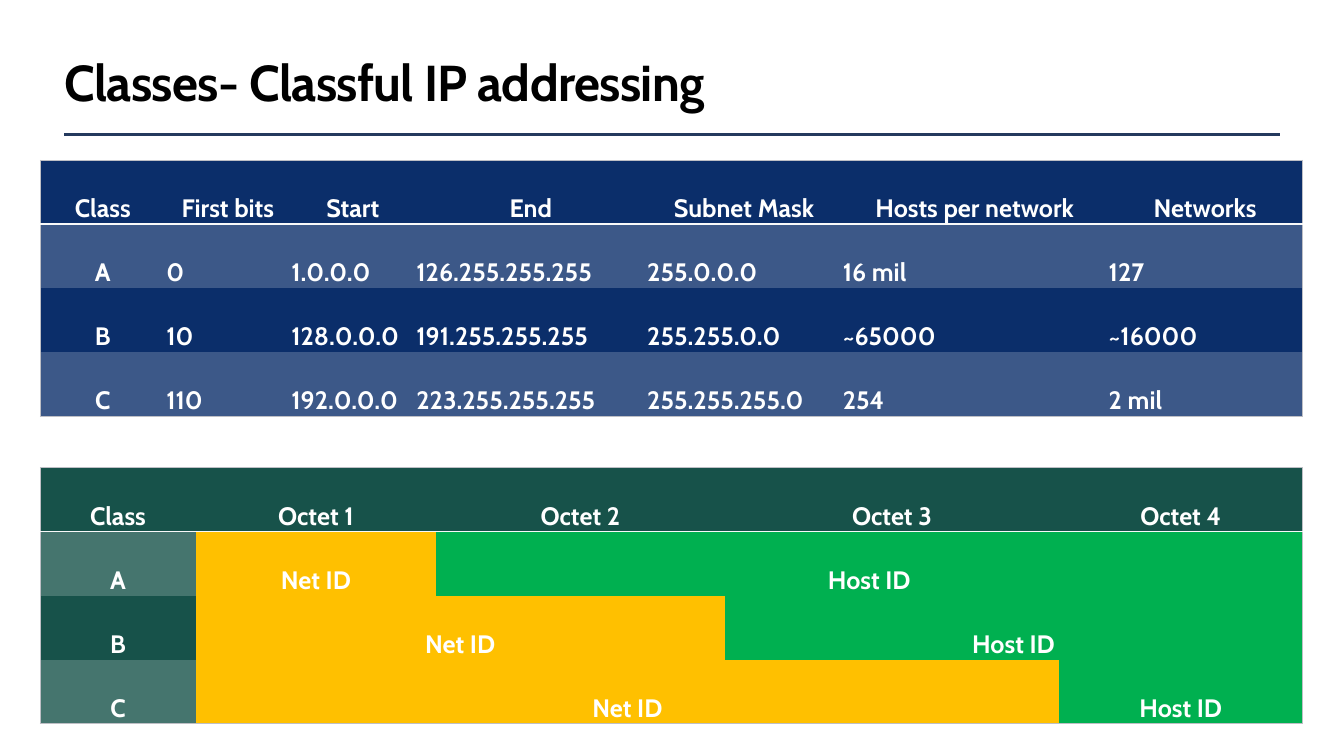
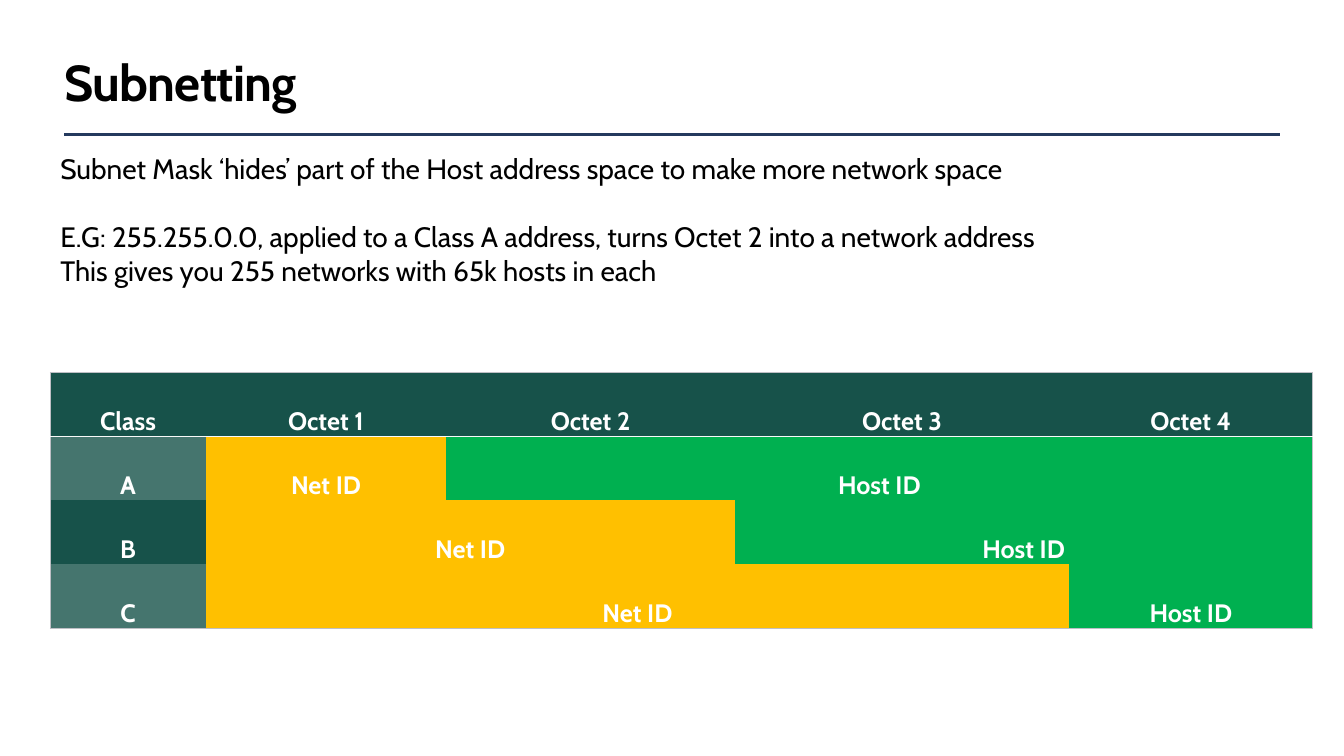
from dataclasses import dataclass

from lxml import etree
from pptx import Presentation
from pptx.dml.color import RGBColor
from pptx.enum.shapes import MSO_CONNECTOR
from pptx.enum.text import MSO_ANCHOR as Anchor, PP_ALIGN as Align
from pptx.oxml.ns import qn
from pptx.util import Pt


@dataclass(frozen=True)
class Theme:
    font: str = "Cabin"
    title_size: int = 36
    body_size: int = 20
    table_size: int = 18
    ink: str = "000000"
    paper: str = "FFFFFF"
    rule: str = "243A5E"
    blue: str = "0B2E6A"
    green: str = "17524A"
    net: str = "FFC000"
    host: str = "00B050"
    frame: str = "BEBFC5"
    header_line: str = "F9F9F9"


THEME = Theme()
LEFT, WIDTH = 46, 868
ROW_HEIGHT = 45.75
PLAIN_TABLE_STYLE = "{2D5ABB26-0587-4C30-8999-92F81FD0307C}"

CLASS_COLUMNS = [89.3, 89.3, 89.3, 164.9, 139.7, 190, 139]
CLASS_ROWS = [
    ["Class", "First bits", "Start", "End", "Subnet Mask", "Hosts per network", "Networks"],
    ["A", "0", "1.0.0.0", "126.255.255.255", "255.0.0.0", "16 mil", "127"],
    ["B", "10", "128.0.0.0", "191.255.255.255", "255.255.0.0", "~65000", "~16000"],
    ["C", "110", "192.0.0.0", "223.255.255.255", "255.255.255.0", "254", "2 mil"],
]
OCTET_COLUMNS = [110.9, 172, 206, 239, 173.6]


@dataclass
class Entry:
    """One table cell: its text, fill, columns covered and alignment."""
    text: str
    fill: str
    span: int = 1
    align: Align = Align.CENTER


def tint(color):
    """Mix one fifth of white into a colour."""
    return "".join(f"{round(part * 0.8 + 255 * 0.2):02X}" for part in bytes.fromhex(color))


def style_text(para, size, color, bold=False):
    font = para.font
    font.name, font.size, font.bold = THEME.font, Pt(size), bold
    font.color.rgb = RGBColor.from_string(color)


# Title and rule
def add_title(slide, text):
    line = slide.shapes.add_connector(
        MSO_CONNECTOR.STRAIGHT, Pt(LEFT), Pt(96), Pt(LEFT + WIDTH), Pt(96))
    line.line.color.rgb = RGBColor.from_string(THEME.rule)
    line.line.width = Pt(2)
    etree.SubElement(line._element.spPr, qn("a:effectLst"))

    frame = slide.shapes.add_textbox(Pt(LEFT), Pt(36), Pt(WIDTH), Pt(44)).text_frame
    frame.word_wrap = True
    frame.vertical_anchor = Anchor.MIDDLE
    frame.margin_left = frame.margin_right = frame.margin_top = frame.margin_bottom = 0
    para = frame.paragraphs[0]
    para.text = text
    style_text(para, THEME.title_size, THEME.ink, bold=True)
    para.runs[0]._r.get_or_add_rPr().set("spc", "-50")


# Body text: pairs of text and space before
def add_body(slide, left, top, width, height, lines):
    frame = slide.shapes.add_textbox(Pt(left), Pt(top), Pt(width), Pt(height)).text_frame
    frame.word_wrap = True
    for index, (text, gap) in enumerate(lines):
        para = frame.add_paragraph() if index else frame.paragraphs[0]
        para.text = text
        if gap:
            para.space_before = Pt(gap)
        style_text(para, THEME.body_size, THEME.ink)


# Tables
def add_border(cell, edge, color, width):
    border = etree.SubElement(cell._tc.get_or_add_tcPr(), qn(f"a:ln{edge}"), w=str(Pt(width)))
    fill = etree.SubElement(border, qn("a:solidFill"))
    etree.SubElement(fill, qn("a:srgbClr"), val=color)


def fill_cell(cell, entry, borders):
    cell.text = entry.text
    cell.vertical_anchor = Anchor.BOTTOM
    cell.margin_left = cell.margin_right = cell.margin_top = Pt(0.75)
    cell.margin_bottom = 0
    for edge, color, width in borders:
        add_border(cell, edge, color, width)
    cell.fill.solid()
    cell.fill.fore_color.rgb = RGBColor.from_string(entry.fill)
    para = cell.text_frame.paragraphs[0]
    para.alignment = entry.align
    style_text(para, THEME.table_size, THEME.paper, bold=True)


def find_borders(row, first, last, row_count, column_count):
    """Frame the table, and rule off its header row."""
    outer = [("L", first == 0), ("R", last == column_count - 1),
             ("T", row == 0), ("B", row == row_count - 1)]
    borders = [(edge, THEME.frame, 0.75) for edge, shown in outer if shown]
    if row == 0:
        borders.append(("B", THEME.header_line, 1.35))
    return borders


def add_table(slide, left, top, columns, rows):
    table = slide.shapes.add_table(
        len(rows), len(columns), Pt(left), Pt(top),
        Pt(sum(columns)), Pt(ROW_HEIGHT * len(rows))).table
    table.first_row = table.horz_banding = False
    table._tbl.tblPr.find(qn("a:tableStyleId")).text = PLAIN_TABLE_STYLE
    for column, width in zip(table.columns, columns):
        column.width = Pt(width)
    for row, entries in enumerate(rows):
        table.rows[row].height = Pt(ROW_HEIGHT)
        first = 0
        for entry in entries:
            last = first + entry.span - 1
            cell = table.cell(row, first)
            if entry.span > 1:
                cell.merge(table.cell(row, last))
            fill_cell(cell, entry, find_borders(row, first, last, len(rows), len(columns)))
            first = last + 1


def band(color, row):
    return tint(color) if row % 2 else color


def add_class_table(slide, left, top):
    rows = [
        [Entry(text, band(THEME.blue, row),
               align=Align.CENTER if row == 0 or column == 0 else Align.LEFT)
         for column, text in enumerate(texts)]
        for row, texts in enumerate(CLASS_ROWS)
    ]
    add_table(slide, left, top, CLASS_COLUMNS, rows)


def add_octet_table(slide, left, top):
    headings = ["Class"] + [f"Octet {number}" for number in range(1, 5)]
    rows = [[Entry(text, THEME.green) for text in headings]]
    for net_octets, name in enumerate("ABC", start=1):
        rows.append([
            Entry(name, band(THEME.green, net_octets)),
            Entry("Net ID", THEME.net, net_octets),
            Entry("Host ID", THEME.host, 4 - net_octets),
        ])
    add_table(slide, left, top, OCTET_COLUMNS, rows)


def add_page(deck, title):
    page = deck.slides.add_slide(deck.slide_layouts[6])
    add_title(page, title)
    return page


def main():
    deck = Presentation()
    deck.slide_width, deck.slide_height = Pt(960), Pt(540)

    # Address classes
    page = add_page(deck, "Classes- Classful IP addressing")
    add_class_table(page, 28.8, 114.5)
    add_octet_table(page, 28.8, 334)

    # Subnetting
    page = add_page(deck, "Subnetting")
    add_octet_table(page, 36, 266)
    add_body(page, 36, 104.4, 833, 133, [
        ("Subnet Mask ‘hides’ part of the Host address space to make more network space", 0),
        ("E.G: 255.255.0.0, applied to a Class A address, turns Octet 2 into a network address", 25),
        ("This gives you 255 networks with 65k hosts in each", 0),
    ])

    deck.save("out.pptx")


if __name__ == "__main__":
    main()
